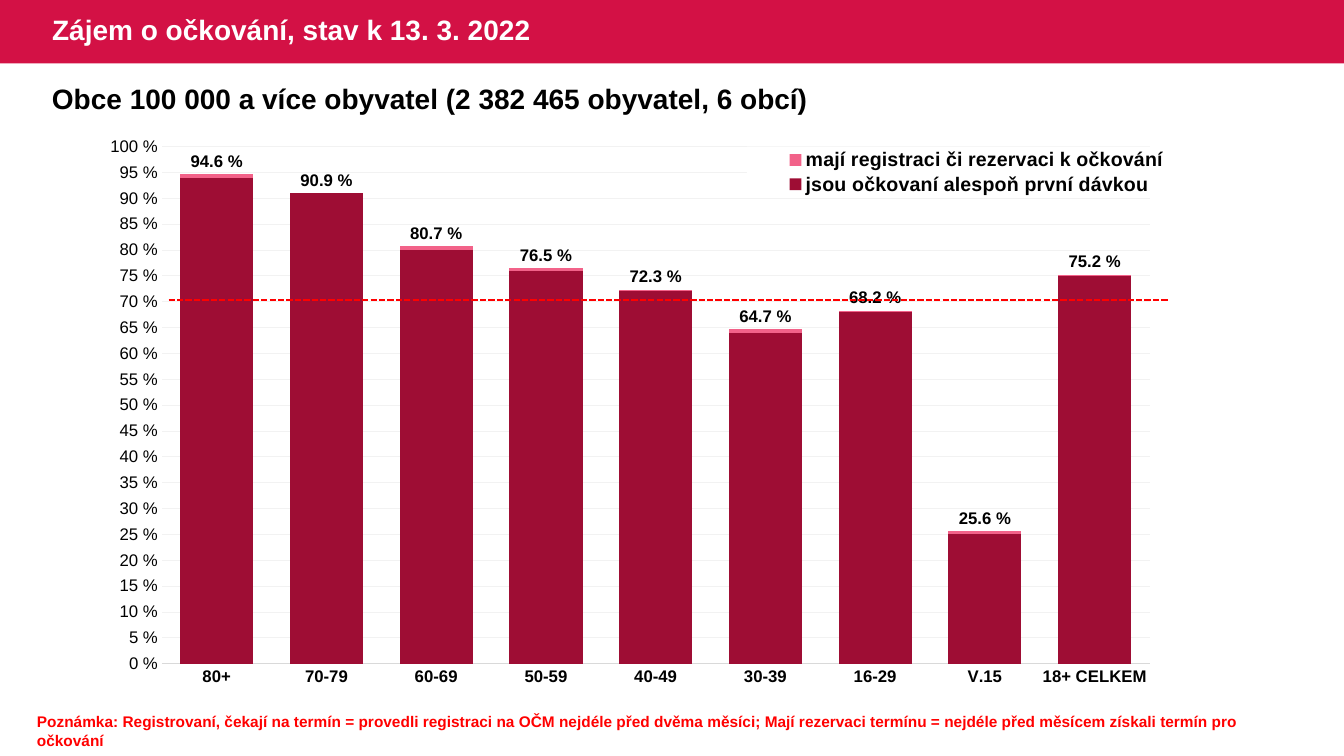
"""Build a slide on vaccination interest in large towns by age group."""
from dataclasses import dataclass

from lxml import etree
from pptx import Presentation
from pptx import util as u
from pptx.chart import data as cd
from pptx.dml import color as col
from pptx.enum import chart as ce
from pptx.enum import dml, shapes, text
from pptx.oxml import ns

FONT = "Arial"
AGES = ["80+", "70-79", "60-69", "50-59", "40-49", "30-39", "16-29", "V.15", "18+ CELKEM"]


@dataclass
class Label:
    words: str
    box: tuple[float, float, float, float]
    size: int
    ink: str


@dataclass
class Group:
    name: str
    vals: list[float]
    fill: str


TITLE = Label("Zájem o očkování, stav k 13. 3. 2022", (1.06, 0, 14.99, 1.6), 20, "FFFFFF")
LABELS = [
    Label("Obce 100 000 a více obyvatel (2 382 465 obyvatel, 6 obcí)",
          (1.06, 1.93, 31.47, 1.12), 20, "000000"),
    Label("Poznámka: Registrovaní, čekají na termín = provedli registraci na OČM nejdéle "
          "před dvěma měsíci; Mají rezervaci termínu = nejdéle před měsícem získali termín "
          "pro očkování", (0.68, 17.83, 32.54, 0.74), 11, "FF0000"),
]
GROUPS = [
    Group("mají registraci či rezervaci k očkování",
          [94.6, 90.9, 80.7, 76.5, 72.3, 64.7, 68.2, 25.6, 75.2], "F26289"),
    Group("jsou očkovaní alespoň první dávkou",
          [94, 91, 80, 76, 72, 64, 68, 25, 75], "9E0D34"),
]


def tint(code: str) -> col.RGBColor:
    return col.RGBColor.from_string(code)


def paint(fill, code: str) -> None:
    fill.solid()
    fill.fore_color.rgb = tint(code)


def style(font, size: int, ink: str = "000000", bold: bool = True) -> None:
    font.name, font.size, font.bold = FONT, u.Pt(size), bold
    font.color.rgb = tint(ink)


def write(frame, label: Label) -> None:
    frame.word_wrap = True
    run = frame.paragraphs[0].add_run()
    run.text = label.words
    style(run.font, label.size, label.ink)


def layout(box: tuple[float, float, float, float], inner: bool = False):
    root = etree.Element(ns.qn("c:layout"))
    man = etree.SubElement(root, ns.qn("c:manualLayout"))
    parts = [("layoutTarget", "inner")] if inner else []
    parts += [("xMode", "edge"), ("yMode", "edge")]
    parts += [(tag, round(share / 100, 3)) for tag, share in zip("xywh", box)]
    for tag, val in parts:
        etree.SubElement(man, ns.qn(f"c:{tag}")).set("val", str(val))
    return root


def add_head(slide) -> None:
    band = slide.shapes.add_shape(shapes.MSO_SHAPE.RECTANGLE, 0, 0, u.Cm(33.87), u.Cm(1.6))
    band.shadow.inherit = False
    paint(band.fill, "D31145")
    band.line.fill.background()
    head = slide.shapes.title
    head.element.addprevious(band.element)
    head.left, head.top, head.width, head.height = map(u.Cm, TITLE.box)
    write(head.text_frame, TITLE)
    head.text_frame.vertical_anchor = text.MSO_ANCHOR.MIDDLE
    para = head.text_frame.paragraphs[0]
    para.alignment = text.PP_ALIGN.LEFT
    para.line_spacing = 0.9


def add_label(slide, label: Label) -> None:
    frame = slide.shapes.add_textbox(*map(u.Cm, label.box)).text_frame
    write(frame, label)
    frame.auto_size = text.MSO_AUTO_SIZE.SHAPE_TO_FIT_TEXT


def set_axes(chart) -> None:
    cat, val = chart.category_axis, chart.value_axis
    for axis in (cat, val):
        axis.major_tick_mark = axis.minor_tick_mark = ce.XL_TICK_MARK.NONE
        style(axis.tick_labels.font, 12, bold=axis is cat)
    paint(cat.format.line.fill, "D9D9D9")
    cat.format.line.width = u.Pt(0.75)
    val.format.line.fill.background()
    val.minimum_scale, val.maximum_scale, val.major_unit = 0, 100, 5
    val.tick_labels.number_format = '0" %"'
    val.tick_labels.number_format_is_linked = False
    grid = val.major_gridlines.format.line
    paint(grid.fill, "F2F2F2")
    grid.width = u.Pt(0.5)


def set_key(chart) -> None:
    chart.has_legend = True
    key = chart.legend
    key.position = ce.XL_LEGEND_POSITION.TOP
    key.include_in_layout = False
    root = chart.element.find(".//" + ns.qn("c:legend"))
    for old in root.findall(ns.qn("c:layout")):
        root.remove(old)
    root.find(ns.qn("c:legendPos")).addnext(layout((57.1, 3.2, 41.3, 8.8)))
    back = etree.Element(ns.qn("c:spPr"))
    fill = etree.SubElement(back, ns.qn("a:solidFill"))
    etree.SubElement(fill, ns.qn("a:srgbClr")).set("val", "FFFFFF")
    root.find(ns.qn("c:overlay")).addnext(back)
    style(key.font, 14)


def add_bars(slide) -> None:
    data = cd.CategoryChartData()
    data.categories = AGES
    for group in GROUPS:
        data.add_series(group.name, group.vals)
    chart = slide.shapes.add_chart(
        ce.XL_CHART_TYPE.COLUMN_CLUSTERED, *map(u.Cm, (2.78, 3.23, 28.07, 14.56)), data).chart
    style(chart.font, 10, bold=False)
    chart.has_title = False
    area = chart.element.find(".//" + ns.qn("c:plotArea"))
    for old in area.findall(ns.qn("c:layout")):
        area.remove(old)
    area.insert(0, layout((4.5, 3.2, 88.8, 89.5), inner=True))
    plot = chart.plots[0]
    plot.gap_width, plot.overlap, plot.vary_by_categories = 50, 100, False
    for bars, group in zip(plot.series, GROUPS):
        paint(bars.format.fill, group.fill)
    tags = plot.series[0].data_labels
    tags.show_value = True
    tags.position = ce.XL_LABEL_POSITION.OUTSIDE_END
    tags.number_format = '0.0" %"'
    tags.number_format_is_linked = False
    style(tags.font, 12)
    set_axes(chart)
    set_key(chart)


def add_goal(slide) -> None:
    goal = slide.shapes.add_connector(
        shapes.MSO_CONNECTOR.STRAIGHT, *map(u.Cm, (4.25, 7.57, 29.45, 7.57)))
    paint(goal.line.fill, "FF0000")
    goal.line.width = u.Pt(1.5)
    goal.line.dash_style = dml.MSO_LINE.SQUARE_DOT
    etree.SubElement(goal.element.spPr, ns.qn("a:effectLst"))


def main() -> None:
    deck = Presentation()
    deck.slide_width, deck.slide_height = u.Cm(33.87), u.Cm(19.05)
    slide = deck.slides.add_slide(deck.slide_layouts[5])
    add_head(slide)
    add_bars(slide)
    add_goal(slide)
    for label in LABELS:
        add_label(slide, label)
    deck.save("out.pptx")


if __name__ == "__main__":
    main()
